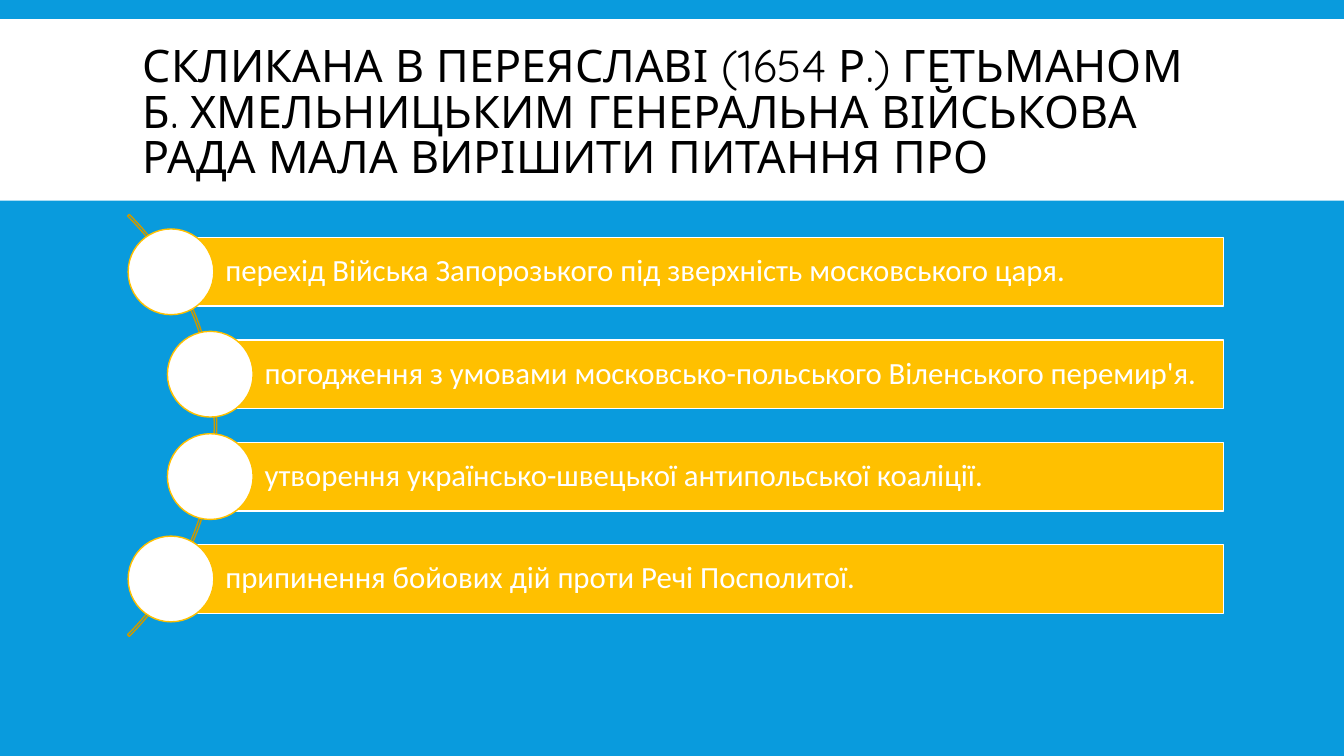
from dataclasses import dataclass

import pptx
import pptx.dml.color
import pptx.enum.shapes
import pptx.enum.text
import pptx.util
from pptx.util import Cm

SHAPE = pptx.enum.shapes.MSO_SHAPE
SLIDE_W, SLIDE_H = 33.87, 19.05
BAR_RIGHT, BAR_H = 30.84, 1.73
CIRCLE_D = 2.16
FIRST_CENTER, PITCH = 6.85, 2.58
BLUE, GOLD, DARK_GOLD, WHITE, BLACK = "099BDD", "FFC000", "CC9A00", "FFFFFF", "000000"


@dataclass
class Answer:
    text: str
    left: float


ANSWERS = [
    Answer("перехід Війська Запорозького під зверхність московського царя.", 4.31),
    Answer("погодження з умовами московсько-польського Віленського перемир'я.", 5.3),
    Answer("утворення українсько-швецької антипольської коаліції.", 5.3),
    Answer("припинення бойових дій проти Речі Посполитої.", 4.31),
]


def rgb(value: str) -> pptx.dml.color.RGBColor:
    return pptx.dml.color.RGBColor.from_string(value)


def add_shape(s, kind, left: float, top: float, width: float, height: float,
              fill: str | None = None, line: str | None = None):
    sp = s.shapes.add_shape(kind, Cm(left), Cm(top), Cm(width), Cm(height))
    sp.shadow.inherit = False
    if fill:
        sp.fill.solid()
        sp.fill.fore_color.rgb = rgb(fill)
    else:
        sp.fill.background()
    if line:
        sp.line.color.rgb = rgb(line)
        sp.line.width = pptx.util.Pt(1)
    else:
        sp.line.fill.background()
    return sp


def set_text(sp, text: str, *, font: str, size: float, color: str, spacing: float,
             insets: tuple[float, float, float, float]) -> None:
    tf = sp.text_frame
    tf.word_wrap = True
    tf.vertical_anchor = pptx.enum.text.MSO_ANCHOR.MIDDLE
    tf.margin_left, tf.margin_top, tf.margin_right, tf.margin_bottom = map(Cm, insets)
    p = tf.paragraphs[0]
    p.alignment = pptx.enum.text.PP_ALIGN.LEFT
    p.line_spacing = spacing
    r = p.add_run()
    r.text = text
    r.font.name = font
    r.font.size = pptx.util.Pt(size)
    r.font.color.rgb = rgb(color)


def add_title(s, text: str) -> None:
    add_shape(s, SHAPE.RECTANGLE, 0, 0.48, SLIDE_W, 4.58, fill=WHITE)
    sp = s.shapes.add_textbox(Cm(3.35), Cm(0.79), Cm(27.18), Cm(4.19))
    set_text(sp, text, font="Quicksand", size=32, color=BLACK, spacing=0.85,
             insets=(0.25, 0.13, 0.25, 0.13))


def add_arc(s) -> None:
    arc = add_shape(s, SHAPE.BLOCK_ARC, -9.58, 3.2, 15.04, 15.04, line=DARK_GOLD)
    for i, value in enumerate((189, 27, 0.004)):
        arc.adjustments[i] = value


def add_answer(s, answer: Answer, center: float) -> None:
    bar = add_shape(s, SHAPE.RECTANGLE, answer.left, center - BAR_H / 2,
                    BAR_RIGHT - answer.left, BAR_H, fill=GOLD, line=WHITE)
    set_text(bar, answer.text, font="Calibri", size=22, color=WHITE, spacing=0.9,
             insets=(1.37, 0.15, 0.15, 0.15))
    add_shape(s, SHAPE.OVAL, answer.left - CIRCLE_D / 2, center - CIRCLE_D / 2,
              CIRCLE_D, CIRCLE_D, fill=WHITE, line=GOLD)


def main() -> None:
    prs = pptx.Presentation()
    prs.slide_width, prs.slide_height = Cm(SLIDE_W), Cm(SLIDE_H)
    s = prs.slides.add_slide(prs.slide_layouts[6])
    s.background.fill.solid()
    s.background.fill.fore_color.rgb = rgb(BLUE)
    add_title(s, "СКЛИКАНА В ПЕРЕЯСЛАВІ (1654 Р.) ГЕТЬМАНОМ Б. ХМЕЛЬНИЦЬКИМ "
                 "ГЕНЕРАЛЬНА ВІЙСЬКОВА РАДА МАЛА ВИРІШИТИ ПИТАННЯ ПРО")
    add_arc(s)
    for i, answer in enumerate(ANSWERS):
        add_answer(s, answer, FIRST_CENTER + i * PITCH)
    prs.save("out.pptx")


if __name__ == "__main__":
    main()
